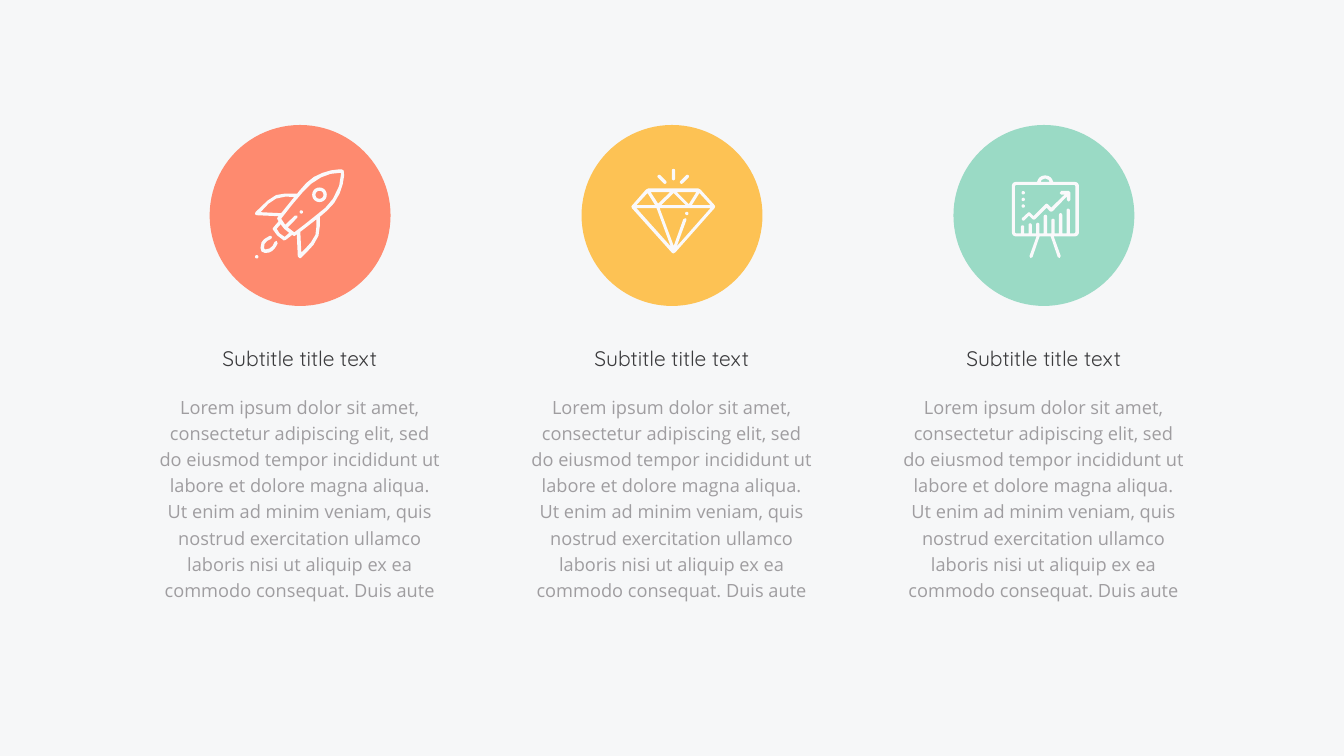
import dataclasses
import math

import pptx
import pptx.dml.color
import pptx.enum.shapes
import pptx.enum.text
import pptx.shapes.group
import pptx.util

Inches = pptx.util.Inches
Point = tuple[float, float]
Contour = list[Point]


@dataclasses.dataclass(frozen=True)
class Theme:
    background: str = "F6F7F8"
    icon: str = "FAF9FB"
    subtitle: str = "3B3B3D"
    body: str = "9F9DA0"
    coral: str = "FE8A6F"
    amber: str = "FDC254"
    mint: str = "9ADAC5"
    subtitle_font: str = "Quicksand"
    body_font: str = "Open Sans"
    subtitle_size: int = 30
    body_size: int = 26


@dataclasses.dataclass(frozen=True)
class Icon:
    left: float
    top: float
    contours: list[Contour]


@dataclasses.dataclass(frozen=True)
class Column:
    color: str
    icon: Icon


@dataclasses.dataclass(frozen=True)
class TextStyle:
    font: str
    size: int
    color: str
    line_spacing: float
    space_before: int
    anchor: pptx.enum.text.MSO_ANCHOR


THEME = Theme()
COLUMN_LEFT, COLUMN_PITCH, COLUMN_WIDTH = 3.08, 7.38, 5.74
CIRCLE_INSET, CIRCLE_TOP, CIRCLE_SIZE = 1.08, 2.48, 3.59
STROKE_RADIUS = 3.3
SUBTITLE = "Subtitle title text"
BODY = (
    "Lorem ipsum dolor sit amet, consectetur adipiscing elit, sed do eiusmod tempor "
    "incididunt ut labore et dolore magna aliqua. Ut enim ad minim veniam, quis nostrud "
    "exercitation ullamco laboris nisi ut aliquip ex ea commodo consequat. Duis aute"
)
SUBTITLE_STYLE = TextStyle(THEME.subtitle_font, THEME.subtitle_size, THEME.subtitle,
                           0.9, 0, pptx.enum.text.MSO_ANCHOR.MIDDLE)
BODY_STYLE = TextStyle(THEME.body_font, THEME.body_size, THEME.body,
                       1.2, 20, pptx.enum.text.MSO_ANCHOR.TOP)


def arc(x: float, y: float, radius: float, start: float, sweep: float, steps: int) -> Contour:
    angles = [math.radians(start + sweep * step / steps) for step in range(steps + 1)]
    return [(x + radius * math.cos(angle), y + radius * math.sin(angle)) for angle in angles]


def dot(x: float, y: float, radius: float = STROKE_RADIUS) -> Contour:
    return arc(x, y, radius, 0, 360, 24)


def capsule(x1: float, y1: float, x2: float, y2: float) -> Contour:
    heading = math.degrees(math.atan2(y2 - y1, x2 - x1))
    return (arc(x1, y1, STROKE_RADIUS, heading + 90, 180, 8)
            + arc(x2, y2, STROKE_RADIUS, heading - 90, 180, 8))


def rounded_box(left: float, top: float, right: float, bottom: float, radius: float) -> Contour:
    corners = [(right - radius, bottom - radius), (left + radius, bottom - radius),
               (left + radius, top + radius), (right - radius, top + radius)]
    return [point for index, (x, y) in enumerate(corners)
            for point in arc(x, y, radius, 90 * index, 90, 6)]


def bar(x: float, top: float, bottom: float) -> Contour:
    return ([(x - STROKE_RADIUS, bottom)]
            + arc(x, top + STROKE_RADIUS, STROKE_RADIUS, 180, 180, 8)
            + [(x + STROKE_RADIUS, bottom)])


def rocket() -> Icon:
    outline = [
        (168, 0), (152, 2), (135, 7), (118, 15), (103, 27), (88, 44), (85, 48), (61, 48),
        (43, 51), (26, 62), (2, 85), (1, 89), (4, 91), (48, 93), (46, 95), (45, 98), (46, 100),
        (48, 103), (37, 116), (36, 118), (37, 120), (45, 131), (58, 141), (62, 140), (75, 130),
        (78, 132), (80, 132), (84, 129), (86, 173), (89, 176), (92, 176), (105, 163), (117, 150),
        (127, 132), (130, 111), (130, 94), (144, 82), (158, 67), (169, 48), (175, 30), (178, 12),
        (177, 2), (173, 0)]
    cabin = [
        (170, 7), (172, 8), (168, 33), (156, 58), (141, 76), (120, 93), (100, 109), (79, 125),
        (66, 115), (85, 96), (85, 92), (80, 92), (61, 110), (53, 98), (74, 71), (96, 45),
        (112, 29), (132, 16), (151, 9)]
    wing = [(62, 54), (79, 55), (74, 61), (53, 87), (12, 85), (28, 68), (43, 58)]
    fin = [(123, 99), (123, 113), (121, 130), (112, 145), (103, 155), (93, 165), (91, 124),
           (113, 107)]
    nozzle = [(52, 109), (59, 118), (69, 126), (60, 134), (50, 127), (44, 118)]
    flame = [
        (32, 132), (30, 132), (20, 138), (17, 141), (14, 145), (12, 156), (14, 163), (21, 166),
        (29, 165), (35, 162), (40, 157), (44, 151), (46, 147), (44, 142), (40, 144), (36, 152),
        (30, 157), (22, 159), (20, 158), (19, 156), (20, 148), (25, 142), (33, 138), (35, 134)]
    window = [dot(129, 50.5, 14.5), dot(129, 50.5, 8)]
    return Icon(0.89, 0.88, [outline, cabin, wing, fin, nozzle, flame, *window,
                             dot(93, 84.5), dot(4.5, 173.5)])


def diamond() -> Icon:
    outline = [(33, 39), (29, 41), (1, 73), (0, 75), (1, 78), (80, 166), (83, 168), (87, 166),
               (165, 78), (166, 75), (165, 72), (137, 41), (133, 39)]
    facets = [
        [(38, 46), (77, 46), (53, 69)],
        [(90, 46), (129, 46), (114, 70)],
        [(84, 48), (108, 72), (59, 72)],
        [(32, 48), (47, 72), (10, 72)],
        [(135, 48), (157, 72), (120, 72)],
        [(10, 78), (50, 78), (78, 154)],
        [(56, 78), (157, 78), (90, 154), (109, 102), (109, 99), (107, 98), (103, 100), (84, 153)]]
    rays = [capsule(83.5, 3.3, 83.5, 19.5), capsule(55, 15, 66.5, 26.5),
            capsule(111, 15, 99.5, 26.5)]
    return Icon(0.99, 0.87, [outline, *facets, *rays, dot(110, 88.5)])


def board() -> Icon:
    frame = [rounded_box(0, 13, 133, 121, 8), rounded_box(6, 19, 126, 115, 3)]
    knob = [(50, 13), (52, 8), (55, 4), (60, 1), (66, 0), (72, 1), (77, 4), (80, 8), (82, 13),
            (75, 13), (73, 9), (66, 6), (59, 9), (57, 13)]
    leg = [(49, 121), (35, 160), (37, 164), (41, 162), (55, 121)]
    mirrored_leg = [(132 - x, y) for x, y in leg]
    trend = [
        (98, 31), (95, 35), (98, 38), (105, 38), (78, 64), (71, 57), (69, 56), (67, 57), (43, 81),
        (36, 74), (34, 73), (32, 74), (20, 85), (20, 89), (24, 90), (34, 80), (41, 87), (44, 88),
        (46, 87), (69, 64), (75, 71), (78, 72), (81, 71), (109, 42), (109, 49), (113, 52),
        (116, 49), (116, 34), (113, 31)]
    bar_tops = [99, 95, 94, 78, 86, 75, 66]
    bars = [bar(21.2 + 15.1 * index, top, 115) for index, top in enumerate(bar_tops)]
    scale_dots = [dot(22.5, 34.5 + 13.2 * index) for index in range(3)]
    return Icon(1.16, 1, [*frame, knob, leg, mirrored_leg, trend, *bars, *scale_dots])


def paint(shape: pptx.shapes.base.BaseShape, color: str) -> None:
    shape.shadow.inherit = False
    shape.fill.solid()
    shape.fill.fore_color.rgb = pptx.dml.color.RGBColor.from_string(color)
    shape.line.fill.background()


def draw_icon(group: pptx.shapes.group.GroupShape, icon: Icon, left: float, top: float) -> None:
    scaled = [[(x * 10, y * 10) for x, y in contour] for contour in icon.contours]
    builder = group.shapes.build_freeform(*scaled[0][0], scale=Inches(1) / 1000)
    for contour in scaled:
        builder.move_to(*contour[0])
        builder.add_line_segments(contour[1:], close=True)
    paint(builder.convert_to_shape(Inches(left + icon.left), Inches(top + icon.top)), THEME.icon)


def draw_text(group: pptx.shapes.group.GroupShape, text: str, left: float, top: float,
              height: float, style: TextStyle) -> None:
    shape = group.shapes.add_textbox(Inches(left), Inches(top), Inches(COLUMN_WIDTH),
                                     Inches(height))
    frame = shape.text_frame
    frame.text = text
    frame.word_wrap = True
    frame.auto_size = pptx.enum.text.MSO_AUTO_SIZE.SHAPE_TO_FIT_TEXT
    frame.vertical_anchor = style.anchor
    frame.margin_left = frame.margin_right = Inches(0.06)
    frame.margin_top = frame.margin_bottom = Inches(0.06)
    paragraph = frame.paragraphs[0]
    paragraph.alignment = pptx.enum.text.PP_ALIGN.CENTER
    paragraph.line_spacing = style.line_spacing
    paragraph.space_before = pptx.util.Pt(style.space_before)
    font = paragraph.runs[0].font
    font.name, font.size = style.font, pptx.util.Pt(style.size)
    font.color.rgb = pptx.dml.color.RGBColor.from_string(style.color)


presentation = pptx.Presentation()
presentation.slide_width, presentation.slide_height = Inches(26.67), Inches(15)
slide = presentation.slides.add_slide(presentation.slide_layouts[6])
slide.background.fill.solid()
slide.background.fill.fore_color.rgb = pptx.dml.color.RGBColor.from_string(THEME.background)

columns = [Column(THEME.coral, rocket()), Column(THEME.amber, diamond()),
           Column(THEME.mint, board())]
for index, column in enumerate(columns):
    left = COLUMN_LEFT + index * COLUMN_PITCH
    group = slide.shapes.add_group_shape()
    draw_text(group, SUBTITLE, left, 6.85, 0.57, SUBTITLE_STYLE)
    draw_text(group, BODY, left, 7.71, 4.28, BODY_STYLE)
    circle = group.shapes.add_shape(
        pptx.enum.shapes.MSO_SHAPE.OVAL, Inches(left + CIRCLE_INSET), Inches(CIRCLE_TOP),
        Inches(CIRCLE_SIZE), Inches(CIRCLE_SIZE))
    paint(circle, column.color)
    draw_icon(group, column.icon, left + CIRCLE_INSET, CIRCLE_TOP)
presentation.save("out.pptx")
